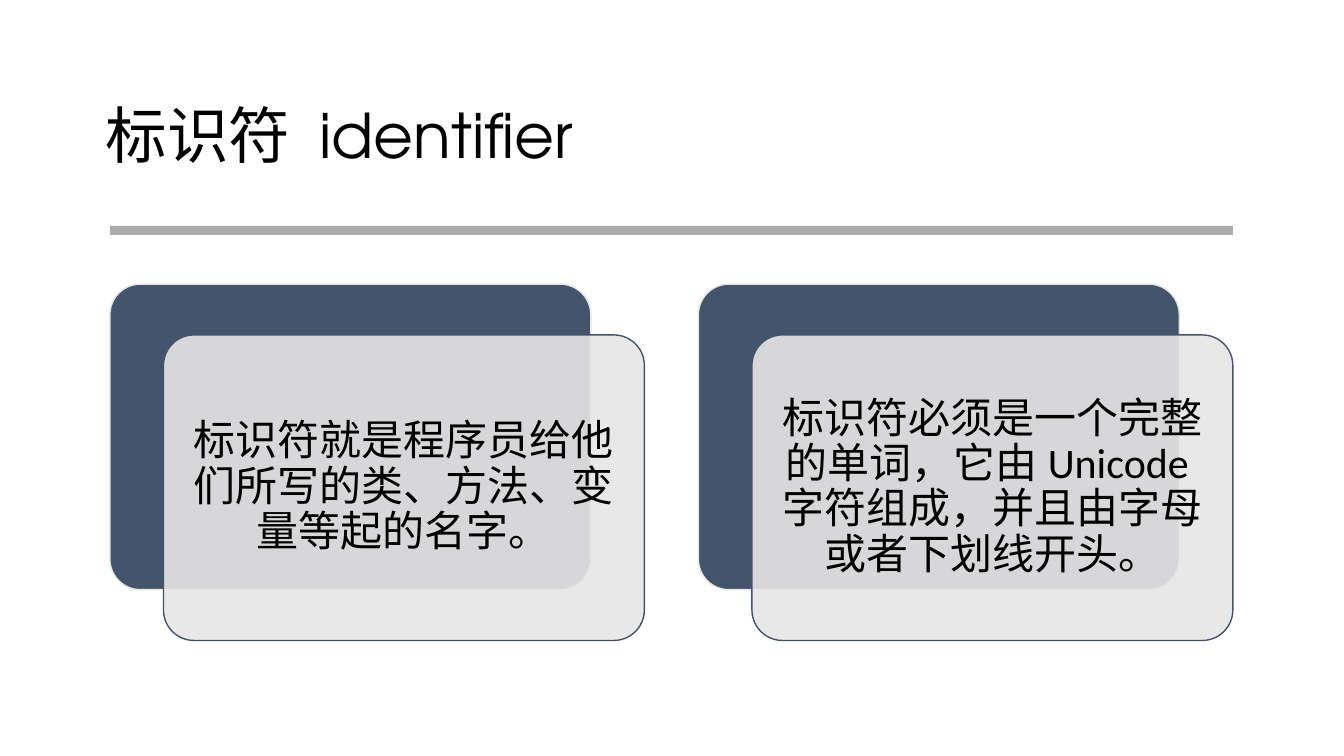
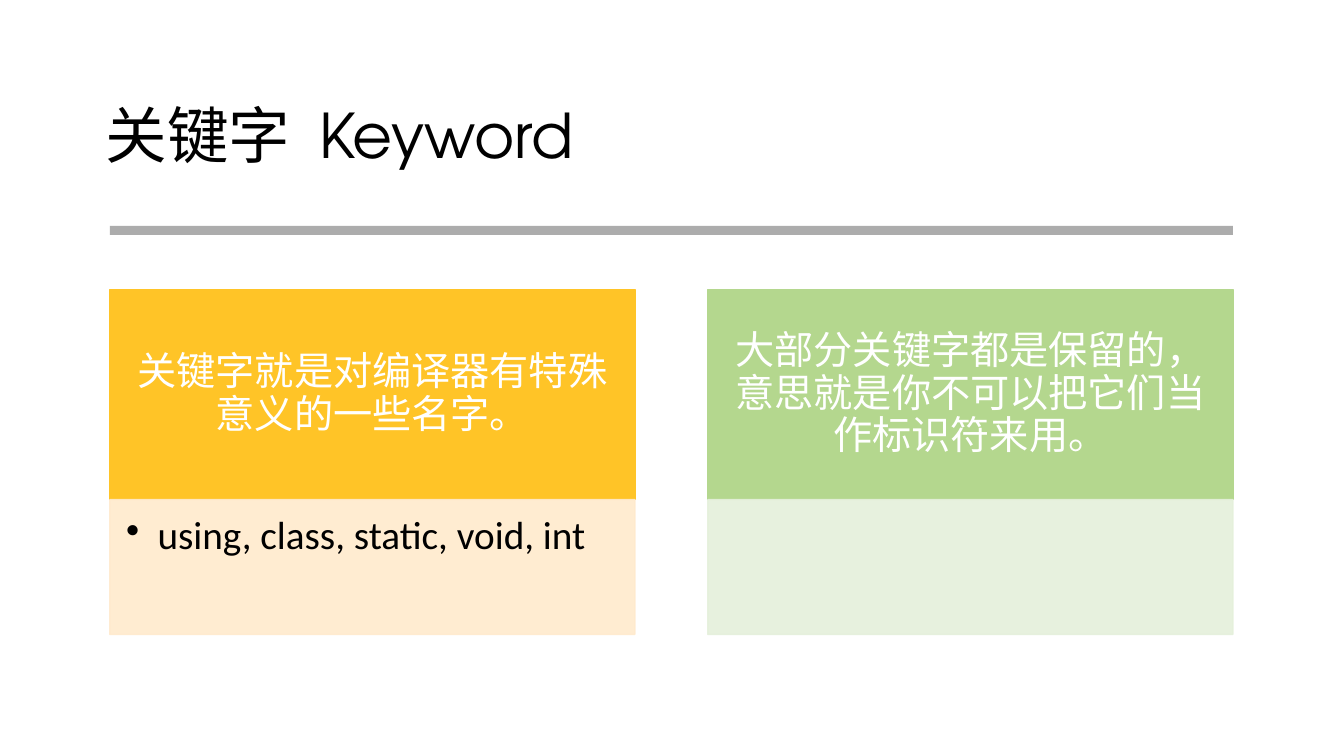
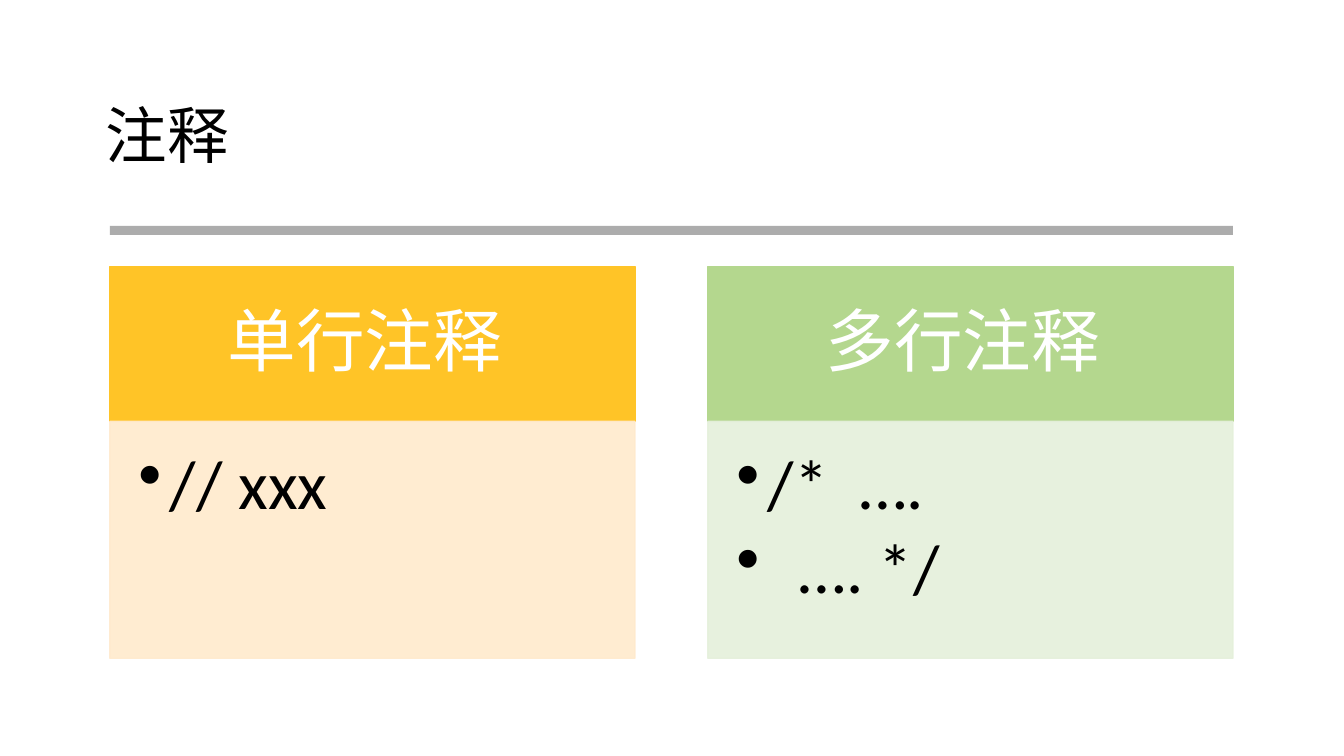
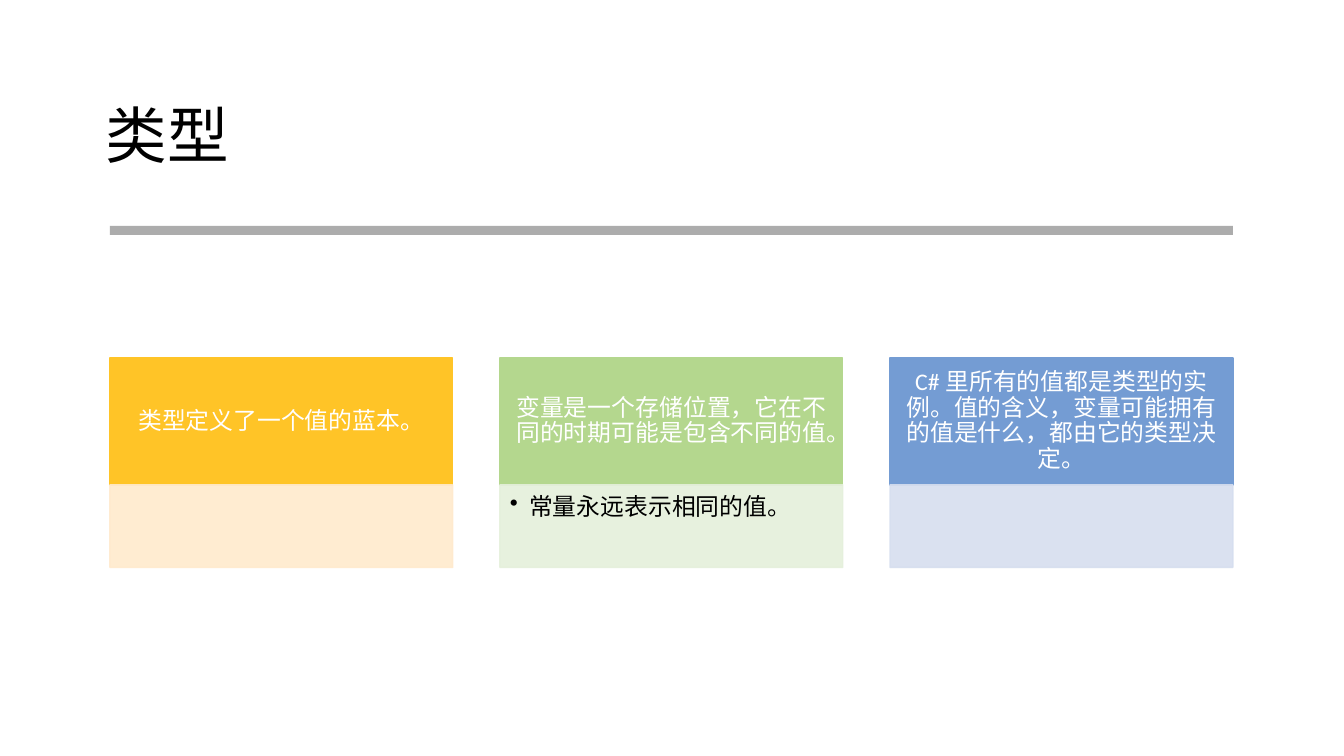
"""Build four slides on identifiers, keywords, comments and types."""
from lxml import etree
from pptx import Presentation
from pptx.dml.color import RGBColor
from pptx.enum import shapes, text
from pptx.oxml import ns
from pptx.util import Cm, Pt

LEFT, SPAN = 2.77, 28.3
BLACK, WHITE = "000000", "FFFFFF"
SLATE, MIST, GREY = "44546A", "E7E6E6", "808080"
PALETTE = [("FFC427", "FFEACD"), ("B4D78E", "E5F0DB"), ("749CD3", "D6DEEF")]
RECT = shapes.MSO_SHAPE.RECTANGLE
ROUND = shapes.MSO_SHAPE.ROUNDED_RECTANGLE


def paint(fill, color, opacity=100):
    fill.solid()
    fill.fore_color.rgb = RGBColor.from_string(color)
    if opacity < 100:
        solid = fill._xPr.find(ns.qn("a:solidFill"))
        etree.SubElement(solid[0], ns.qn("a:alpha"), val=str(opacity * 1000))


class Deck:
    title_font, body_font = "TeX Gyre Adventor", "Calibri"

    def __init__(self):
        self.prs = Presentation()
        self.prs.slide_width, self.prs.slide_height = Cm(33.87), Cm(19.05)

    def start(self, heading):
        self.slide = self.prs.slides.add_slide(self.prs.slide_layouts[5])
        title = self.slide.shapes.title
        title.left, title.top = Cm(2.41), Cm(1.68)
        title.width, title.height = Cm(29.03), Cm(3.63)
        frame = title.text_frame
        frame.auto_size = text.MSO_AUTO_SIZE.NONE
        frame.vertical_anchor = text.MSO_ANCHOR.MIDDLE
        self.add_words(frame.paragraphs[0], heading, 44, BLACK,
                       text.PP_ALIGN.LEFT, self.title_font)
        self.box(RECT, LEFT, 5.69, SPAN, 0.23, GREY, opacity=65)

    def add_words(self, paragraph, words, size, color, align, font=body_font):
        paragraph.alignment = align
        paragraph.line_spacing = 0.9
        run = paragraph.add_run()
        run.text = words
        run.font.name, run.font.size = font, Pt(size)
        paint(run.font.fill, color)

    def box(self, kind, x, y, w, h, color, line=None, opacity=100, line_opacity=100):
        shape = self.slide.shapes.add_shape(kind, Cm(x), Cm(y), Cm(w), Cm(h))
        shape.shadow.inherit = False
        paint(shape.fill, color, opacity)
        if kind == ROUND:
            shape.adjustments[0] = 0.1
        if line:
            shape.line.width = Pt(1)
            paint(shape.line.fill, line, line_opacity)
        else:
            shape.line.fill.background()
        return shape

    def inset(self, frame, left, top, right, bottom):
        frame.margin_left, frame.margin_top = Cm(left), Cm(top)
        frame.margin_right, frame.margin_bottom = Cm(right), Cm(bottom)

    def caption(self, shape, words, size, color, across, down):
        frame = shape.text_frame
        frame.vertical_anchor = text.MSO_ANCHOR.MIDDLE
        self.inset(frame, across, down, across, down)
        self.add_words(frame.paragraphs[0], words, size, color, text.PP_ALIGN.CENTER)

    def bullets(self, shape, items, size):
        frame = shape.text_frame
        frame.vertical_anchor = text.MSO_ANCHOR.TOP
        self.inset(frame, size / 68, size / 68, size / 50, size / 45)
        indent = Cm(min(size / 35, 0.79))
        for number, item in enumerate(items):
            paragraph = frame.add_paragraph() if number else frame.paragraphs[0]
            props = paragraph._p.get_or_add_pPr()
            props.set("marL", str(indent))
            props.set("indent", str(-indent))
            etree.SubElement(props, ns.qn("a:buChar"), char="•")
            paragraph.space_after = Pt(round(size * 0.15))
            self.add_words(paragraph, item, size, BLACK, text.PP_ALIGN.LEFT)

    def cards(self, statements):
        width, height, shift_x, shift_y, top = 12.12, 7.7, 1.35, 1.28, 7.16
        pitch = (SPAN - width - shift_x) / (len(statements) - 1)
        for number, statement in enumerate(statements):
            x = LEFT + number * pitch
            self.box(ROUND, x, top, width, height, SLATE, MIST)
            front = self.box(ROUND, x + shift_x, top + shift_y, width, height,
                             MIST, SLATE, opacity=90)
            self.caption(front, statement, 30, BLACK, 0.3, 0.3)

    def columns(self, top, width, head_height, body_height, size, entries):
        pitch = (SPAN - width) / (len(entries) - 1)
        for number, (heading, items) in enumerate(entries):
            strong, pale = PALETTE[number]
            x = LEFT + number * pitch
            head = self.box(RECT, x, top, width, head_height, strong, strong)
            self.caption(head, heading, size, WHITE, size / 50, size / 88)
            body = self.box(RECT, x, top + head_height, width, body_height,
                            pale, pale, opacity=90, line_opacity=90)
            if items:
                self.bullets(body, items, size)


def main():
    deck = Deck()
    deck.start("标识符 identifier")
    deck.cards(["标识符就是程序员给他们所写的类、方法、变量等起的名字。",
                "标识符必须是一个完整的单词，它由Unicode字符组成，并且由字母或者下划线开头。"])
    deck.start("关键字 Keyword")
    deck.columns(7.29, 13.23, 5.3, 3.4, 28, [
        ("关键字就是对编译器有特殊意义的一些名字。", ["using, class, static, void, int"]),
        ("大部分关键字都是保留的，意思就是你不可以把它们当作标识符来用。", [])])
    deck.start("注释")
    deck.columns(6.71, 13.23, 3.91, 5.97, 49, [
        ("单行注释 ", ["// xxx"]),
        ("多行注释 ", ["/*  ….", "  …. */"])])
    deck.start("类型")
    deck.columns(9.02, 8.64, 3.2, 2.08, 17, [
        ("类型定义了一个值的蓝本。", []),
        ("变量是一个存储位置，它在不同的时期可能是包含不同的值。", ["常量永远表示相同的值。"]),
        ("C#里所有的值都是类型的实例。值的含义，变量可能拥有的值是什么，都由它的类型决定。", [])])
    deck.prs.save("out.pptx")


if __name__ == "__main__":
    main()
